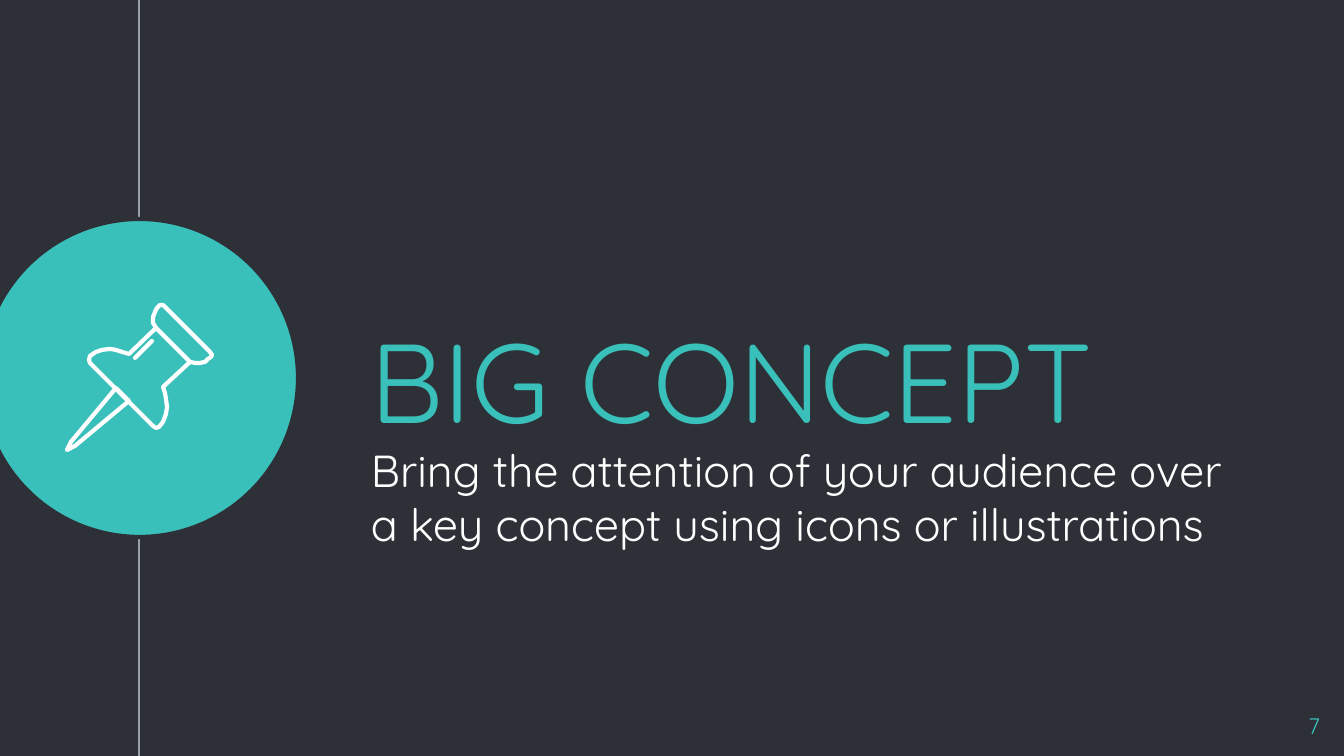
from lxml.etree import SubElement
from pptx import Presentation
from pptx.dml.color import RGBColor
from pptx.enum.shapes import MSO_CONNECTOR as CONN, MSO_SHAPE as SHAPE
from pptx.enum.text import MSO_ANCHOR as ANCHOR, PP_ALIGN as ALIGN
from pptx.oxml.ns import qn
from pptx.util import Emu, Pt

DARK = RGBColor(0x2E, 0x30, 0x37)
TEAL = RGBColor(0x39, 0xC0, 0xBA)
GREY = RGBColor(0x99, 0x9F, 0xA9)
WHITE = RGBColor(0xFF, 0xFF, 0xFF)
FONT = "Quicksand"
SCALE = 914400 / 134.4  # EMU in one px


def px(n):
    return Emu(round(n * SCALE))


prs = Presentation()
prs.slide_width, prs.slide_height = px(1344), px(756)
s = prs.slides.add_slide(prs.slide_layouts[6])
s.background.fill.solid()
s.background.fill.fore_color.rgb = DARK

# Timeline behind the circle
line = s.shapes.add_connector(CONN.STRAIGHT, px(139), px(0), px(139), px(756))
line.line.color.rgb = GREY
line.line.width = Pt(0.75)
SubElement(line._element.spPr, qn("a:effectLst"))

# Circle
circle = s.shapes.add_shape(SHAPE.OVAL, px(-19), px(219), px(317), px(318))
circle.shadow.inherit = False
circle.fill.solid()
circle.fill.fore_color.rgb = TEAL
circle.line.color.rgb = DARK
circle.line.width = Pt(2.25)

# Texts: box, wording, size, colour, anchor, paragraph format
texts = [
    ((358, 293, 886, 171), "BIG CONCEPT", 60, TEAL, ANCHOR.MIDDLE, {}),
    ((358, 430, 886, 116),
     "Bring the attention of your audience over a key concept using icons or illustrations",
     24, WHITE, ANCHOR.TOP, {"space_before": Pt(6)}),
    ((1253, 699, 80, 46), "7", 12, TEAL, ANCHOR.TOP, {"alignment": ALIGN.RIGHT}),
]
for box, words, size, color, anchor, fmt in texts:
    tf = s.shapes.add_textbox(*map(px, box)).text_frame
    frame = {"word_wrap": True, "vertical_anchor": anchor}
    frame.update({f"margin_{side}": px(13) for side in ("left", "top", "right", "bottom")})
    for name, value in frame.items():
        setattr(tf, name, value)
    p = tf.paragraphs[0]
    for name, value in fmt.items():
        setattr(p, name, value)
    r = p.add_run()
    r.text = words
    for name, value in {"name": FONT, "size": Pt(size)}.items():
        setattr(r.font, name, value)
    r.font.color.rgb = color

# Pushpin outlines: points, closed
needle = [(116, 388), (71, 442), (67, 450), (75, 446), (129, 401)]
cap = [(156, 328), (190, 362), (195, 363), (200, 363), (205, 362), (208, 359),
       (211, 357), (212, 355), (210, 352), (165, 307), (163, 305), (160, 305),
       (157, 308), (155, 312), (153, 317), (153, 323)]
body = [(156, 328), (129, 354), (122, 352), (116, 350), (110, 349), (102, 350),
        (96, 352), (90, 356), (89, 360), (90, 363), (153, 426), (156, 428),
        (159, 427), (163, 422), (166, 414), (167, 407), (166, 399), (165, 393),
        (163, 387), (190, 362)]
glint = [(135, 358), (152, 341)]

pin = s.shapes.add_group_shape()
for points, closed in ((needle, True), (cap, True), (body, False), (glint, False)):
    fb = pin.shapes.build_freeform(*points[0], scale=SCALE)
    fb.add_line_segments(points[1:], close=closed)
    sp = fb.convert_to_shape()
    sp.shadow.inherit = False
    sp.fill.background()
    sp.line.color.rgb = WHITE
    sp.line.width = Pt(2.25)
    ln = sp.line._get_or_add_ln()
    ln.set("cap", "rnd")
    SubElement(ln, qn("a:round"))

prs.save("out.pptx")
